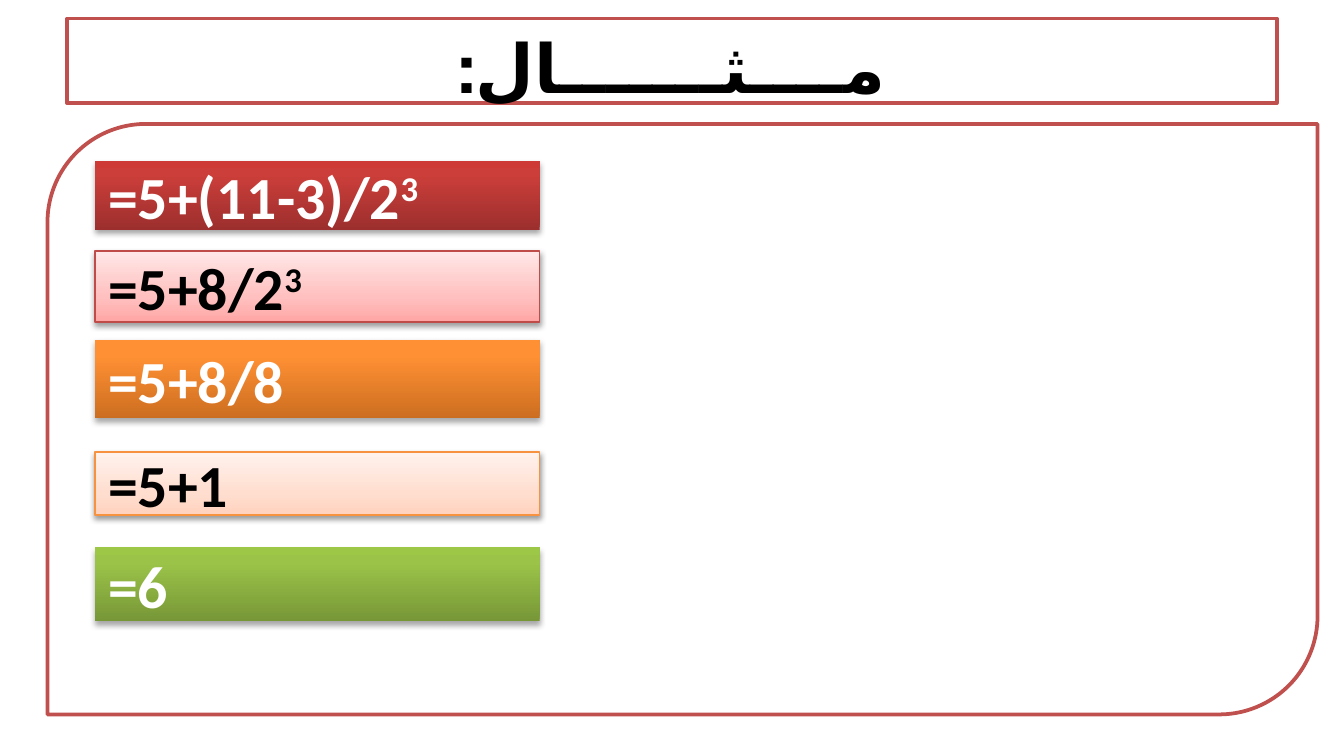
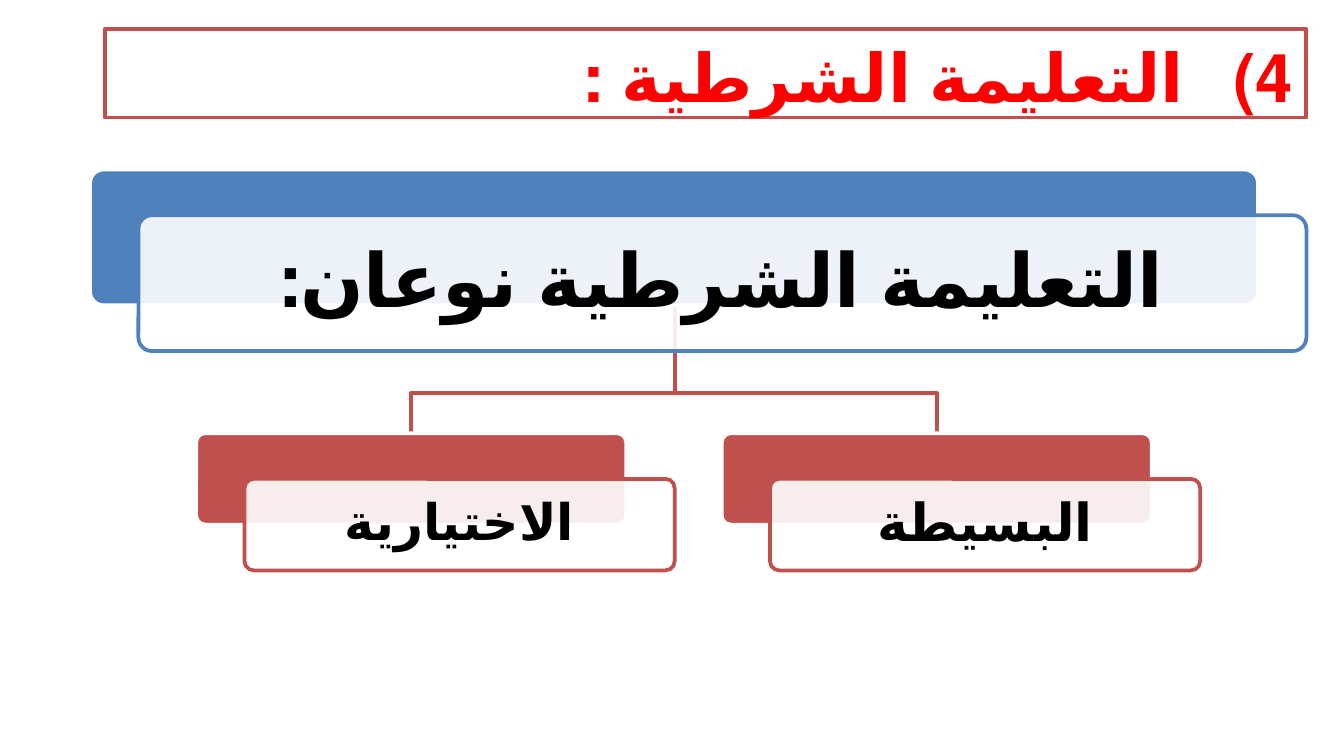
from lxml.etree import SubElement
from pptx import Presentation
from pptx.dml.color import RGBColor
from pptx.enum.lang import MSO_LANGUAGE_ID
from pptx.enum.shapes import MSO_SHAPE
from pptx.enum.text import MSO_ANCHOR, MSO_AUTO_SIZE, PP_ALIGN
from pptx.oxml.ns import qn
from pptx.util import Inches, Pt

RED, BLUE, WHITE, BLACK = "C0504D", "4F81BD", "FFFFFF", "000000"


def paint(fill, color):
    fill.solid()
    fill.fore_color.rgb = RGBColor.from_string(color)


def write(paragraph, text, size, color, align, rtl=False):
    paragraph.text = text
    paragraph.alignment = align
    if rtl:
        paragraph._p.get_or_add_pPr().set("rtl", "1")
    font = paragraph.runs[0].font
    font.name, font.size, font.bold = "Calibri", Pt(size), True
    paint(font.fill, color)


deck = Presentation()
deck.slide_width = Inches(10)
deck.slide_height = deck.slide_width * 9 // 16
column, row = deck.slide_width / 100, deck.slide_height / 100

headings = [
    ("مــــثـــــــال:", 36.3, BLACK, PP_ALIGN.CENTER, 5, 2.45, 90, 11.2),
    ("التعليمة الشرطية :", 36, "FF0000", PP_ALIGN.RIGHT, 7.8, 3.8, 89.4, 11.74),
]
for text, size, color, align, left, top, width, height in headings:
    heading = deck.slides.add_slide(deck.slide_layouts[5]).shapes.title
    heading.left, heading.top = int(left * column), int(top * row)
    heading.width, heading.height = int(width * column), int(height * row)
    paint(heading.fill, WHITE)
    paint(heading.line.fill, RED)
    heading.line.width = Pt(2)
    heading.text_frame.auto_size = MSO_AUTO_SIZE.NONE
    heading.text_frame.vertical_anchor = MSO_ANCHOR.TOP
    write(heading.text_frame.paragraphs[0], text, size, color, align, True)
    heading.text_frame.paragraphs[0].runs[0].font.language_id = MSO_LANGUAGE_ID.ARABIC_ALGERIA
example, conditional = deck.slides

numbering = conditional.shapes.title.text_frame.paragraphs[0]._p.get_or_add_pPr()
numbering.set("marL", str(Inches(0.81)))
numbering.set("indent", str(-Inches(0.81)))
SubElement(numbering, qn("a:buFont"), typeface="+mj-lt")
SubElement(numbering, qn("a:buAutoNum"), type="arabicParenR", startAt="4")

frame = example.shapes.add_shape(
    MSO_SHAPE.ROUND_2_DIAG_RECTANGLE, 3.53 * column, 16.4 * row, 94.5 * column, 78.1 * row)
frame.shadow.inherit = False
paint(frame.fill, WHITE)
paint(frame.line.fill, RED)
frame.line.width = Pt(2)

steps = [
    ("=5+(11-3)/2", "3", 21.35, 9.07, ("9C2F2D", "CB3E3A", "CE3B37"), None),
    ("=5+8/2", "3", 33.2, 9.43, ("FFA6A5", "FFC0BF", "FFE7E7"), "BF4C48"),
    ("=5+8/8", "", 45.02, 10.32, ("CC6E20", "FF9034", "FF9136"), None),
    ("=5+1", "", 59.79, 8.36, ("FFD2BD", "FFDED0", "FFF2ED"), "F69240"),
    ("=6", "", 72.42, 9.79, ("779737", "9BC348", "9DC746"), None),
]
for formula, power, top, height, shades, outline in steps:
    step = example.shapes.add_shape(
        MSO_SHAPE.RECTANGLE, 7.06 * column, top * row, 33.1 * column, height * row)
    step.fill.gradient()
    step.fill.gradient_angle = 90
    stops = step._element.spPr.find(".//" + qn("a:gsLst"))
    for stop in list(stops):
        stops.remove(stop)
    for share, shade in zip((0, 35 if outline else 80, 100), shades):
        stop = SubElement(stops, qn("a:gs"), pos=str(share * 1000))
        SubElement(stop, qn("a:srgbClr"), val=shade)
    if outline:
        paint(step.line.fill, outline)
        step.line.width = Pt(0.75)
    else:
        step.line.fill.background()
    step.shadow.inherit = False
    shadow = SubElement(
        step._element.spPr.find(qn("a:effectLst")), qn("a:outerShdw"), blurRad=str(Pt(3.1)),
        dist=str(Pt(1.6 if outline else 1.8)), dir="5400000", rotWithShape="0")
    shadow_color = SubElement(shadow, qn("a:srgbClr"), val=BLACK)
    SubElement(shadow_color, qn("a:alpha"), val="38000" if outline else "35000")
    step.text_frame.vertical_anchor = MSO_ANCHOR.MIDDLE
    line = step.text_frame.paragraphs[0]
    text_color = BLACK if outline else WHITE
    write(line, formula, 32, text_color, PP_ALIGN.LEFT)
    if power:
        exponent = line.add_run()
        exponent.text = power
        exponent.font.name, exponent.font.size, exponent.font.bold = "Calibri", Pt(32), True
        paint(exponent.font.fill, text_color)
        exponent.font._element.set("baseline", "30000")

root_center, root_bottom, fork, kinds_top, kinds_width = 50.2, 40.39, 51.96, 57.3, 32
kinds_left = (14.6, 53.7)
for left in kinds_left:
    center = left + kinds_width / 2
    path_builder = conditional.shapes.build_freeform(root_center * column, root_bottom * row)
    path_builder.add_line_segments(
        [(root_center * column, fork * row), (center * column, fork * row),
         (center * column, kinds_top * row)], close=False)
    branch = path_builder.convert_to_shape()
    branch.shadow.inherit = False
    branch.fill.background()
    paint(branch.line.fill, RED)
    branch.line.width = Pt(2)

cards = [
    ("التعليمة الشرطية نوعان:", 40, True, BLUE, 6.7, 22.42, 86.9, 17.97, 0.2),
    ("الاختيارية", 27, False, RED, kinds_left[0], kinds_top, kinds_width, 12.1, 0.13),
    ("البسيطة", 28, True, RED, kinds_left[1], kinds_top, kinds_width, 12.1, 0.14),
]
for text, size, rtl, color, left, top, width, height, inset in cards:
    for shift, fill, outline in ((0, color, WHITE), (1, WHITE, color)):
        card = conditional.shapes.add_shape(
            MSO_SHAPE.ROUNDED_RECTANGLE, (left + 3.6 * shift) * column,
            (top + 6.05 * shift) * row, width * column, height * row)
        card.adjustments[0] = 0.1
        card.shadow.inherit = False
        paint(card.fill, fill)
        paint(card.line.fill, outline)
        card.line.width = Pt(2)
    SubElement(card._element.spPr.find(".//" + qn("a:srgbClr")), qn("a:alpha"), val="90000")
    label = card.text_frame
    label.margin_left = label.margin_right = label.margin_top = label.margin_bottom = Inches(inset)
    label.vertical_anchor = MSO_ANCHOR.MIDDLE
    write(label.paragraphs[0], text, size, BLACK, PP_ALIGN.CENTER, rtl)
    label.paragraphs[0].runs[0].font.language_id = MSO_LANGUAGE_ID.ARABIC_ALGERIA
    label.paragraphs[0].line_spacing = 0.9

deck.save("out.pptx")
